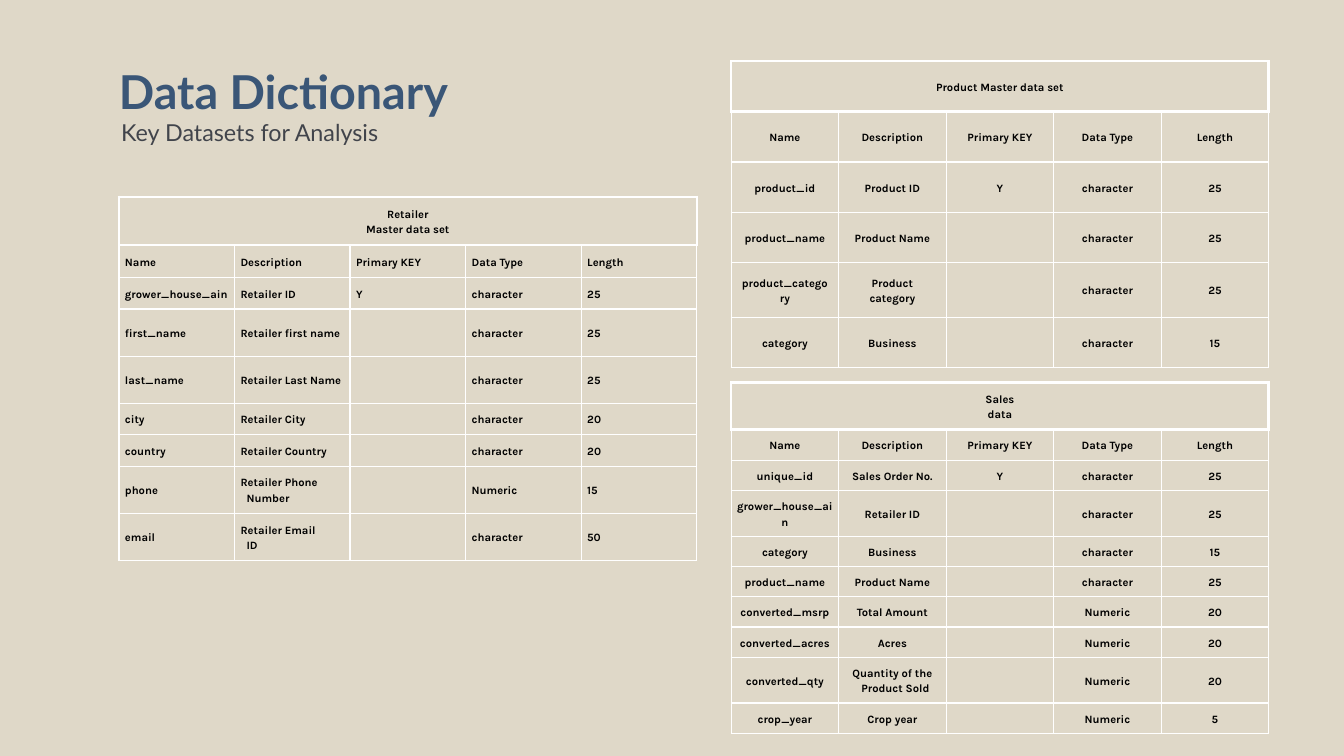
import pptx
import pptx.util
import pptx.dml.color
import pptx.enum.text
import pptx.oxml
import pptx.oxml.ns
import lxml.etree

Inches = pptx.util.Inches
Pt = pptx.util.Pt
ALIGN = pptx.enum.text.PP_ALIGN
FIXED = pptx.util.Pt(16.8)


def style(para, name, size, tint, bold, align, space):
    para.alignment = align
    para.line_spacing = space
    font = para.font
    font.name = name
    font.size = Pt(size)
    font.bold = bold
    font.color.rgb = pptx.dml.color.RGBColor.from_string(tint)


def edge(cell, sides):
    props = cell._tc.get_or_add_tcPr()
    for spot, (side, width) in enumerate(sides):
        line = lxml.etree.Element(pptx.oxml.ns.qn("a:ln" + side), w=str(Pt(width)))
        fill = lxml.etree.SubElement(line, pptx.oxml.ns.qn("a:solidFill"))
        lxml.etree.SubElement(fill, pptx.oxml.ns.qn("a:srgbClr"), val="FFFFFF")
        props.insert(spot, line)


deck = pptx.Presentation()
deck.slide_width = Inches(20)
deck.slide_height = Inches(11.25)
slide = deck.slides.add_slide(deck.slide_layouts[6])
back = slide.background.fill
back.solid()
back.fore_color.rgb = pptx.dml.color.RGBColor.from_string("DFD8C8")

heads = [
    ("Data Dictionary", 0.79, 7.23, 0.94, 50, "3A5677", True, ALIGN.LEFT, 70),
    ("Key Datasets for Analysis", 1.69, 3.89, 0.46, 25, "41444B", False, ALIGN.CENTER, 35),
]
for text, top, wide, high, size, tint, bold, align, space in heads:
    frame = slide.shapes.add_textbox(Inches(1.77), Inches(top), Inches(wide), Inches(high)).text_frame
    frame.word_wrap = True
    frame.margin_left = frame.margin_right = frame.margin_top = frame.margin_bottom = 0
    frame.text = text
    style(frame.paragraphs[0], "Lato", size, tint, bold, align, Pt(space))

retail = [
    ("grower_house_ain", "Retailer ID", "character", "25"),
    ("first_name", "Retailer first name", "character", "25"),
    ("last_name", "Retailer Last Name", "character", "25"),
    ("city", "Retailer City", "character", "20"),
    ("country", "Retailer Country", "character", "20"),
    ("phone", "Retailer Phone\nNumber", "Numeric", "15"),
    ("email", "Retailer Email\nID", "character", "50"),
]
product = [
    ("product_id", "Product ID", "character", "25"),
    ("product_name", "Product Name", "character", "25"),
    ("product_category", "Product category", "character", "25"),
    ("category", "Business", "character", "15"),
]
sales = [
    ("unique_id", "Sales Order No.", "character", "25"),
    ("grower_house_ain", "Retailer ID", "character", "25"),
    ("category", "Business", "character", "15"),
    ("product_name", "Product Name", "character", "25"),
    ("converted_msrp", "Total Amount", "Numeric", "20"),
    ("converted_acres", "Acres", "Numeric", "20"),
    ("converted_qty", "Quantity of the\nProduct Sold", "Numeric", "20"),
    ("crop_year", "Crop year", "Numeric", "5"),
]
tables = [
    ("Retailer\nMaster data set", retail, 1.77, 2.93, 1.72, 0.09, ALIGN.LEFT,
     [0.72, 0.48, 0.47, 0.7, 0.7, 0.47, 0.47, 0.7, 0.7]),
    ("Product Master data set", product, 10.88, 0.91, 1.6, 0.15, ALIGN.CENTER,
     [0.75, 0.75, 0.75, 0.75, 0.81, 0.75]),
    ("Sales\ndata", sales, 10.88, 5.69, 1.6, 0.08, ALIGN.CENTER,
     [0.7, 0.46, 0.45, 0.68, 0.45, 0.45, 0.45, 0.45, 0.68, 0.45]),
]
for title, items, left, top, wide, inset, align, highs in tables:
    rows = [(title, "", "", "", ""), ("Name", "Description", "Primary KEY", "Data Type", "Length")]
    for spot, (name, desc, kind, size) in enumerate(items):
        rows.append((name, desc, "Y" if spot == 0 else "", kind, size))
    grid = slide.shapes.add_table(len(rows), 5, Inches(left), Inches(top),
                                  Inches(wide * 5), Inches(sum(highs))).table
    grid.first_row = False
    grid.horz_banding = False
    for col in grid.columns:
        col.width = Inches(wide)
    for row, high in zip(grid.rows, highs):
        row.height = Inches(high)
    grid.cell(0, 0).merge(grid.cell(0, 4))
    for r, row in enumerate(rows):
        for c, text in enumerate(row):
            cell = grid.cell(r, c)
            cell.text = text
            cell.fill.background()
            cell.vertical_anchor = pptx.enum.text.MSO_ANCHOR.MIDDLE
            cell.margin_left = cell.margin_right = Inches(inset)
            cell.margin_top = cell.margin_bottom = Inches(inset)
            for p, para in enumerate(cell.text_frame.paragraphs):
                style(para, "Karla", 12, "000000", True, align if r else ALIGN.CENTER, FIXED)
                if r and p:
                    para._p.get_or_add_pPr().set("marL", str(Inches(0.09)))
            base = 1.5 if r else 3
            edge(cell, [("L", base), ("R", base), ("T", 3 if r < 2 else 1.5), ("B", base)])

deck.save("out.pptx")
